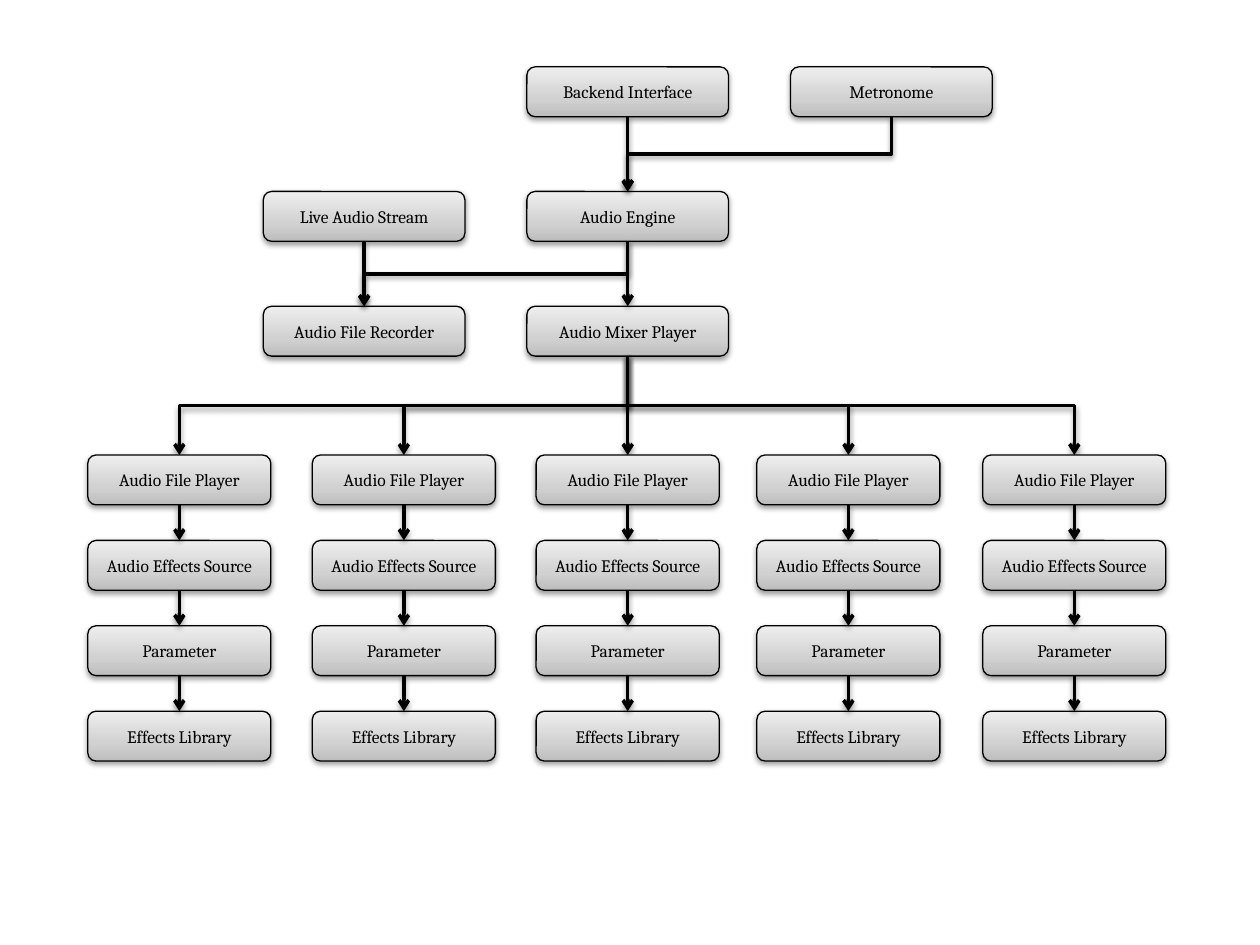
from copy import deepcopy

from lxml import etree
from pptx import Presentation
from pptx.dml.color import RGBColor
from pptx.enum import shapes, text
from pptx.oxml import ns, parse_xml
from pptx.util import Pt

theme = {
    "ink": RGBColor.from_string("000000"),
    "grey": [(0, "BDBDBD"), (0.35, "D1D1D1"), (1, "EEEEEE")],
    "font": "Cambria", "size": Pt(10), "edge": Pt(0.75), "wire": Pt(2),
}
high = 28.5
shade = (
    '<a:effectLst %s><a:outerShdw blurRad="40000" dist="20000" dir="5400000" '
    'rotWithShape="0"><a:srgbClr val="000000"><a:alpha val="38000"/></a:srgbClr>'
    '</a:outerShdw></a:effectLst>' % ns.nsdecls("a"))

deck = Presentation()
deck.slide_width, deck.slide_height = Pt(720), Pt(540)
slide = deck.slides.add_slide(deck.slide_layouts[6])


def add_box(label, mid, top, wide):
    """Draw a grey rounded box centred on mid."""
    box = slide.shapes.add_shape(
        shapes.MSO_SHAPE.ROUNDED_RECTANGLE,
        Pt(mid - wide / 2), Pt(top), Pt(wide), Pt(high))
    box.fill.gradient()
    box.fill.gradient_angle = 90
    first = box.fill._fill._gradFill.gsLst[0]
    first.addnext(deepcopy(first))
    for stop, (pos, tone) in zip(box.fill.gradient_stops, theme["grey"]):
        stop.position = pos
        stop.color.rgb = RGBColor.from_string(tone)
    box.line.color.rgb = theme["ink"]
    box.line.width = theme["edge"]
    box._element.spPr.append(parse_xml(shade))
    frame = box.text_frame
    frame.word_wrap = True
    frame.vertical_anchor = text.MSO_ANCHOR.MIDDLE
    para = frame.paragraphs[0]
    para.alignment = text.PP_ALIGN.CENTER
    run = para.add_run()
    run.text = label
    for key, val in {"name": theme["font"], "size": theme["size"]}.items():
        setattr(run.font, key, val)
    run.font.color.rgb = theme["ink"]


def add_wire(low, foot, up, peak):
    """Draw a wire from (low, foot) to (up, peak), arrow at the foot."""
    kind = shapes.MSO_CONNECTOR
    if low == up:
        wire = slide.shapes.add_connector(
            kind.STRAIGHT, Pt(low), Pt(foot), Pt(up), Pt(peak))
    else:
        # An elbow that leaves upwards is a sideways one turned by 270 degrees.
        x, y = (low + up) / 2, (foot + peak) / 2
        run, rise = (up - low) / 2, (foot - peak) / 2
        wire = slide.shapes.add_connector(
            kind.ELBOW, Pt(x - rise), Pt(y - run), Pt(x + rise), Pt(y + run))
        wire._element.spPr.find(ns.qn("a:xfrm")).set("rot", "16200000")
    wire.line.color.rgb = theme["ink"]
    wire.line.width = theme["wire"]
    ends = etree.SubElement(wire.line._ln, ns.qn("a:headEnd"))
    ends.set("type", "arrow")
    wire._element.spPr.append(parse_xml(shade))


left, main, right = 208.1, 358.7, 509.4
tops = [38.2, 109.4, 175]
cols = [102.5, 230.8, main, 484.8, 613.9]
start, step = 260, 48.8
chain = ["Audio File Player", "Audio Effects Source", "Parameter", "Effects Library"]

for label, mid, row in [
        ("Backend Interface", main, 0), ("Metronome", right, 0),
        ("Live Audio Stream", left, 1), ("Audio Engine", main, 1),
        ("Audio File Recorder", left, 2), ("Audio Mixer Player", main, 2)]:
    add_box(label, mid, tops[row], 115.2)

for low, up, row in [(main, main, 1), (main, right, 1),
                     (left, left, 2), (left, main, 2), (main, main, 2)]:
    add_wire(low, tops[row], up, tops[row - 1] + high)

for mid in cols:
    add_wire(mid, start, main, tops[2] + high)
    for row, label in enumerate(chain):
        top = start + row * step
        add_box(label, mid, top, 104.6)
        if row:
            add_wire(mid, top, mid, top - step + high)

deck.save("out.pptx")
